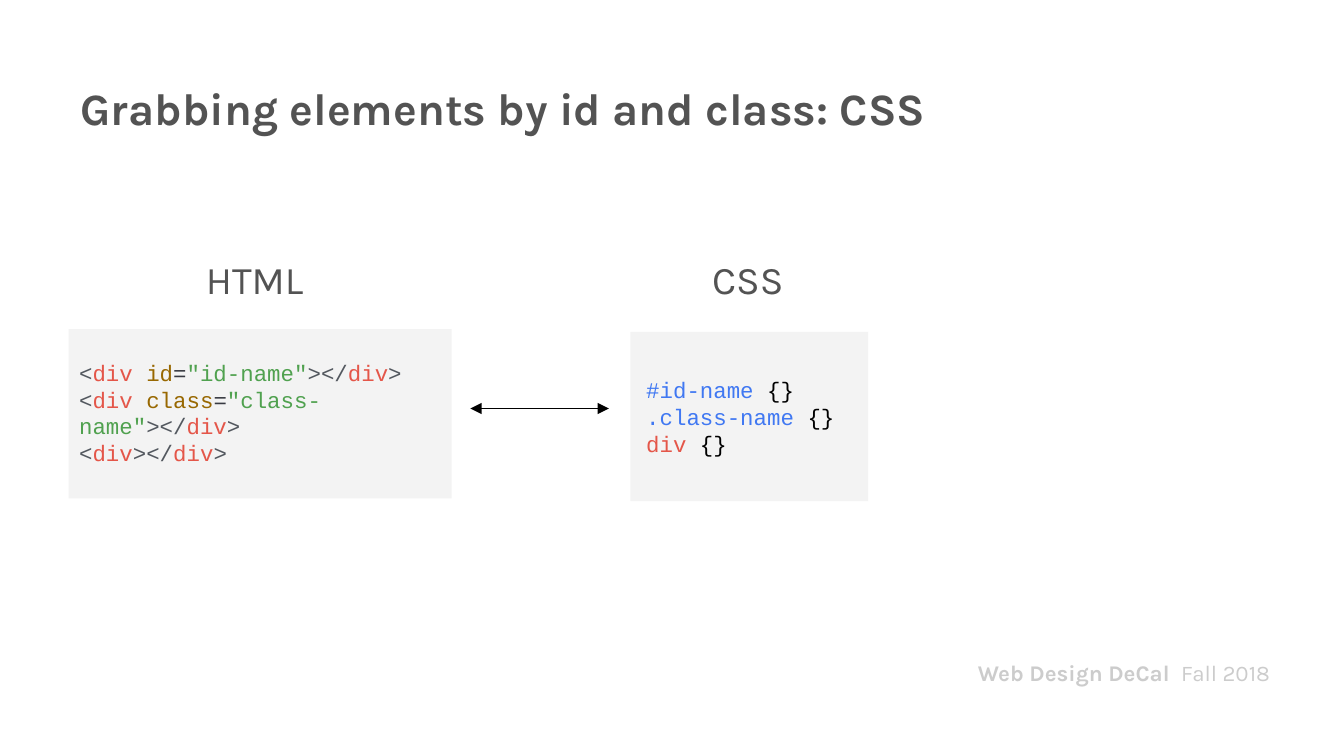
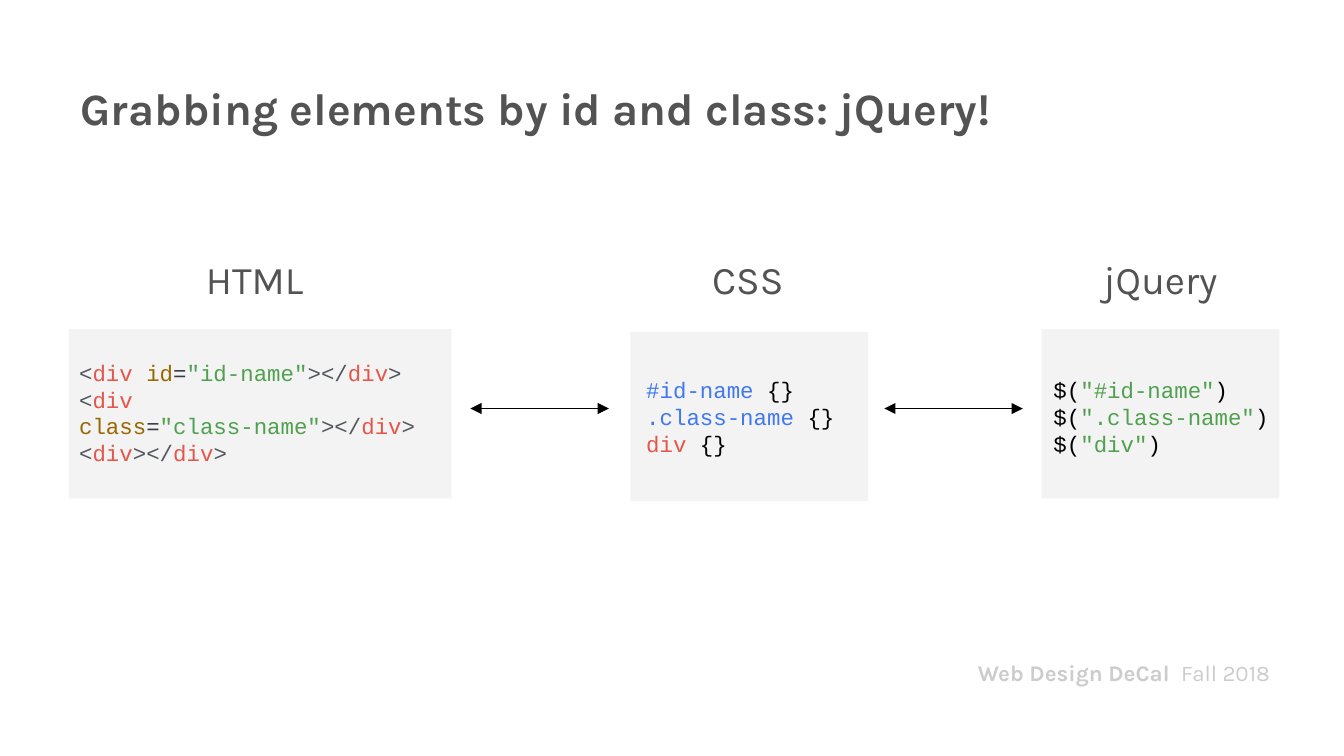
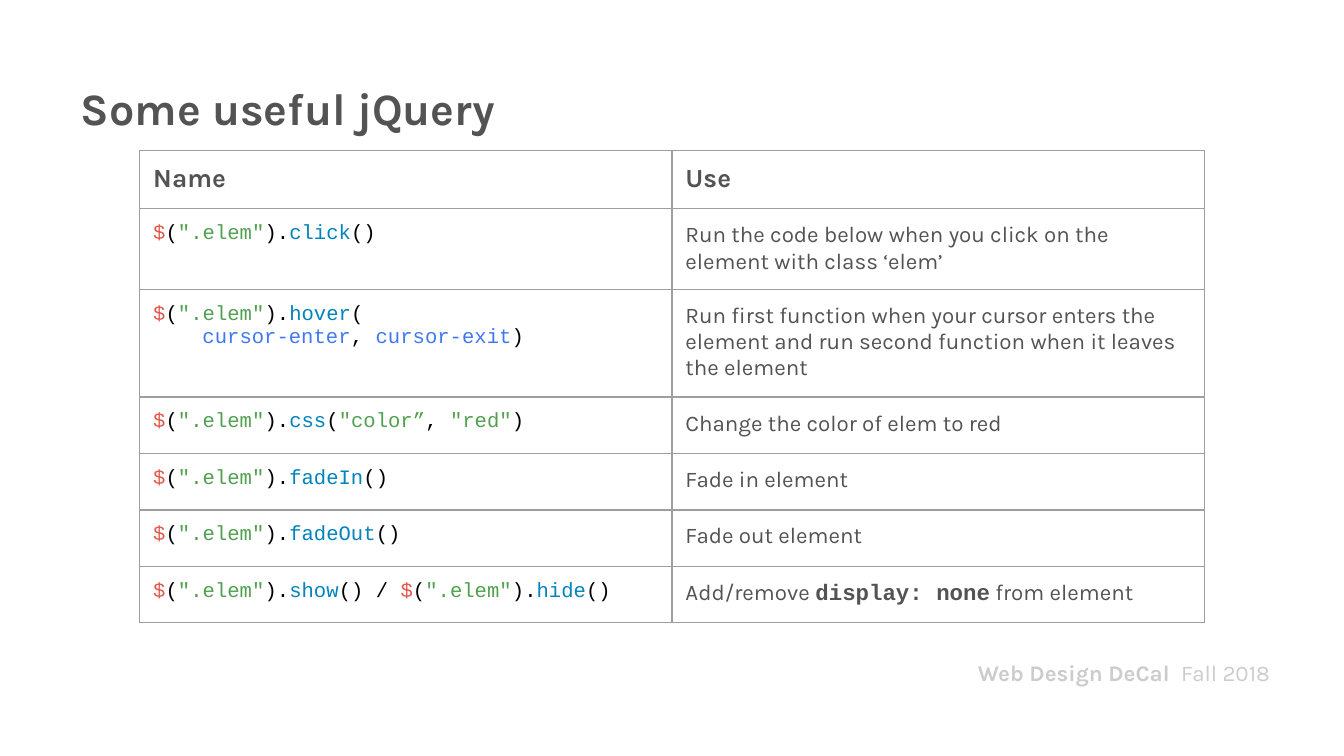
from lxml import etree
from pptx import Presentation
from pptx.dml.color import RGBColor
from pptx.enum.shapes import MSO_CONNECTOR, MSO_SHAPE
from pptx.enum.text import MSO_ANCHOR, MSO_AUTO_SIZE, PP_ALIGN
from pptx.oxml.ns import qn
from pptx.util import Inches, Pt

LEFT, CENTER, RIGHT = PP_ALIGN.LEFT, PP_ALIGN.CENTER, PP_ALIGN.RIGHT
TOP, MIDDLE = MSO_ANCHOR.TOP, MSO_ANCHOR.MIDDLE
RECTANGLE, STRAIGHT = MSO_SHAPE.RECTANGLE, MSO_CONNECTOR.STRAIGHT
NO_AUTOFIT = MSO_AUTO_SIZE.NONE

SLIDE_WIDTH = Inches(10)
SLIDE_HEIGHT = SLIDE_WIDTH * 9 // 16
UNIT = SLIDE_WIDTH / 100
INSET = 1
TITLE_ONLY = 5
HEADING_ROW, HEADING_ROWS = 18, 4.7
PANEL_ROWS, ARROW_ROW = 12.6, 30.4
CODE_INDENT = Pt(26.4)

COLORS = {
    "text": "535353", "footer": "CCCCCC", "panel": "F3F3F3",
    "border": "9E9E9E", "black": "000000", "bracket": "53585F",
    "tag": "E45649", "attribute": "986801", "equals": "383A42",
    "string": "50A14F", "selector": "4078F2", "method": "0184BC",
}
STYLES = {
    "title": ("Karla", 24, True), "heading": ("Karla", 21, False),
    "header": ("Karla", 14, True), "body": ("Karla", 12, False),
    "strong": ("Karla", 12, True), "code": ("Courier New", 12, False),
    "strong code": ("Courier New", 12, True),
    "table code": ("Courier New", 11, False),
}

OPEN, CLOSE = ("<", "bracket"), (">", "bracket")
DIV_END = [("></", "bracket"), ("div", "tag"), CLOSE]


def div_with(attribute, value):
    """Return the runs of an empty div that has one attribute."""
    return [OPEN, ("div ", "tag"), (attribute, "attribute"),
            ("=", "equals"), (value, "string")] + DIV_END


def css_rule(selector, color):
    """Return the runs of an empty CSS rule."""
    return [(selector, color), (" {}", "black")]


def jquery_selection(selector):
    """Return the runs of a jQuery selection."""
    return [("$(", "black"), (selector, "string"), (")", "black")]


def elem_call(method, ending="()"):
    """Return the runs of a method call on the elem class."""
    return [("$", "tag"), ("(", "black"), ('".elem"', "string"),
            (").", "black"), (method, "method"), (ending, "black")]


HTML = {
    "heading": "HTML", "heading_at": (4.8, 28.3),
    "panel_at": (5.1, 24.5, 28.5), "code_at": (4.9, 24.7, 28.5, 12),
    "lines": [div_with("id", '"id-name"'), div_with("class", '"class-name"'),
              [OPEN, ("div", "tag")] + DIV_END],
}
WIDE_HTML = {**HTML, "code_at": (4.9, 24.7, 30.1, 12)}
CSS = {
    "heading": "CSS", "heading_at": (47.1, 17.1),
    "panel_at": (46.9, 24.7, 17.7), "code_at": (47.1, 24.7, 17.1, PANEL_ROWS),
    "lines": [css_rule("#id-name", "selector"),
              css_rule(".class-name", "selector"), css_rule("div", "tag")],
}
JQUERY = {
    "heading": "jQuery", "heading_at": (77.5, 17.7),
    "panel_at": (77.5, 24.5, 17.7), "code_at": (77.4, 24.7, 19, PANEL_ROWS),
    "lines": [jquery_selection(selector)
              for selector in ('"#id-name"', '".class-name"', '"div"')],
}
ARROW_COLUMN_STARTS = (35, 65.8)
ARROW_HALVES = ((1.9, 10.3), (7.7, 0))

TABLE_COLUMNS = (39.6, 39.6)
TABLE_ROWS = [
    (6, [elem_call("click")],
     [("Run the code below when you click on the element with class ‘elem’", "text")]),
    (8, [elem_call("hover", "("),
         [("cursor-enter", "selector"), (",", "black"),
          (" cursor-exit", "selector"), (")", "black")]],
     [("Run first function when your cursor enters the element and run second "
       "function when it leaves the element", "text")]),
    (4.2, [elem_call("css", "(") + [('"color”', "string"), (", ", "black"),
                                    ('"red"', "string"), (")", "black")]],
     [("Change the color of elem to red", "text")]),
    (4.2, [elem_call("fadeIn")], [("Fade in element", "text")]),
    (4.2, [elem_call("fadeOut")], [("Fade out element", "text")]),
    (4.2, [elem_call("show", "() / ") + elem_call("hide")],
     [("Add/remove ", "text"), ("display: none", "text", "strong code"),
      (" from element", "text")]),
]


def grid(*lengths):
    """Convert grid columns or rows to slide lengths."""
    return [round(length * UNIT) for length in lengths]


def rgb(name):
    """Return the named colour."""
    return RGBColor.from_string(COLORS[name])


def write(frame, lines, style, align=LEFT):
    """Write lines of coloured runs; a run may name its own style."""
    frame.word_wrap = True
    for number, line in enumerate(lines):
        paragraph = frame.add_paragraph() if number else frame.paragraphs[0]
        paragraph.alignment = align
        for text, color, *own_style in line:
            run = paragraph.add_run()
            run.text = text
            name, size, bold = STYLES[own_style[0] if own_style else style]
            run.font.name, run.font.size, run.font.bold = name, Pt(size), bold
            run.font.color.rgb = rgb(color)


def set_frame(frame, anchor, inset=INSET):
    """Set the anchor and equal margins of a text frame or table cell."""
    frame.vertical_anchor = anchor
    margin, = grid(inset)
    frame.margin_left = frame.margin_right = margin
    frame.margin_top = frame.margin_bottom = margin


def add_text(slide, place, lines, style, align=LEFT, anchor=TOP, inset=INSET):
    """Add a text box on the grid."""
    frame = slide.shapes.add_textbox(*grid(*place)).text_frame
    set_frame(frame, anchor, inset)
    write(frame, lines, style, align)


def add_slide(presentation, title):
    """Add a slide with its title and the course footer."""
    slide = presentation.slides.add_slide(presentation.slide_layouts[TITLE_ONLY])
    shape = slide.shapes.title
    shape.left, shape.top, shape.width, shape.height = grid(5, 5, 90, 5)
    shape.text_frame.auto_size = NO_AUTOFIT
    set_frame(shape.text_frame, TOP)
    write(shape.text_frame, [[(title, "text")]], "title")
    footer = [("Web Design DeCal  ", "footer", "strong"), ("Fall 2018", "footer")]
    add_text(slide, (65.5, 48.8, 29, 2.5), [footer], "body", RIGHT, MIDDLE, 0)
    return slide


def add_code_panel(slide, panel):
    """Add a shaded code panel with a heading above it."""
    shape = slide.shapes.add_shape(RECTANGLE, *grid(*panel["panel_at"], PANEL_ROWS))
    shape.shadow.inherit = False
    shape.fill.solid()
    shape.fill.fore_color.rgb = rgb("panel")
    shape.line.fill.background()
    add_text(slide, panel["code_at"], panel["lines"], "code", anchor=MIDDLE)
    column, columns = panel["heading_at"]
    add_text(slide, (column, HEADING_ROW, columns, HEADING_ROWS),
             [[(panel["heading"], "text")]], "heading", CENTER)


def add_double_arrow(slide, column):
    """Add two overlapping level arrows that point apart."""
    for start, end in ARROW_HALVES:
        arrow = slide.shapes.add_connector(
            STRAIGHT, *grid(column + start, ARROW_ROW, column + end, ARROW_ROW))
        arrow.line.color.rgb = rgb("black")
        arrow.line.width = Pt(0.75)
        outline = arrow.line._get_or_add_ln()
        etree.SubElement(outline, qn("a:tailEnd"), type="triangle")
        etree.SubElement(arrow._element.spPr, qn("a:effectLst"))


def add_comparison_slide(presentation, title, panels):
    """Add a slide of code panels with arrows between them."""
    slide = add_slide(presentation, title)
    for panel in panels:
        add_code_panel(slide, panel)
    for column in ARROW_COLUMN_STARTS[:len(panels) - 1]:
        add_double_arrow(slide, column)


def border_cell(cell):
    """Draw a thin border on all four sides of a cell."""
    properties = cell._tc.get_or_add_tcPr()
    for position, side in enumerate(("a:lnL", "a:lnR", "a:lnT", "a:lnB")):
        line = etree.Element(qn(side), w=str(Pt(0.75)))
        fill = etree.SubElement(line, qn("a:solidFill"))
        etree.SubElement(fill, qn("a:srgbClr"), val=COLORS["border"])
        properties.insert(position, line)


def fill_cell(cell, lines, style):
    """Format a cell and write its lines."""
    cell.fill.background()
    border_cell(cell)
    set_frame(cell, TOP)
    write(cell.text_frame, lines, style)


def add_method_table(slide):
    """Add the table of jQuery methods and their uses."""
    heights = [4.3] + [row[0] for row in TABLE_ROWS]
    place = grid(10.4, 11.2, sum(TABLE_COLUMNS), sum(heights))
    table = slide.shapes.add_table(len(heights), len(TABLE_COLUMNS), *place).table
    table.first_row = table.horz_banding = False
    for column, width in zip(table.columns, grid(*TABLE_COLUMNS)):
        column.width = width
    for row, height in zip(table.rows, grid(*heights)):
        row.height = height
    for column, label in enumerate(("Name", "Use")):
        fill_cell(table.cell(0, column), [[(label, "text")]], "header")
    for number, (_, code, use) in enumerate(TABLE_ROWS, 1):
        cell = table.cell(number, 0)
        fill_cell(cell, code, "table code")
        for paragraph in cell.text_frame.paragraphs[1:]:
            paragraph._p.get_or_add_pPr().set("marL", str(CODE_INDENT))
        fill_cell(table.cell(number, 1), [use], "body")


def main():
    """Build the three slides and save them."""
    presentation = Presentation()
    presentation.slide_width, presentation.slide_height = SLIDE_WIDTH, SLIDE_HEIGHT
    add_comparison_slide(
        presentation, "Grabbing elements by id and class: CSS", [HTML, CSS])
    add_comparison_slide(
        presentation, "Grabbing elements by id and class: jQuery!",
        [WIDE_HTML, CSS, JQUERY])
    add_method_table(add_slide(presentation, "Some useful jQuery"))
    presentation.save("out.pptx")


if __name__ == "__main__":
    main()
